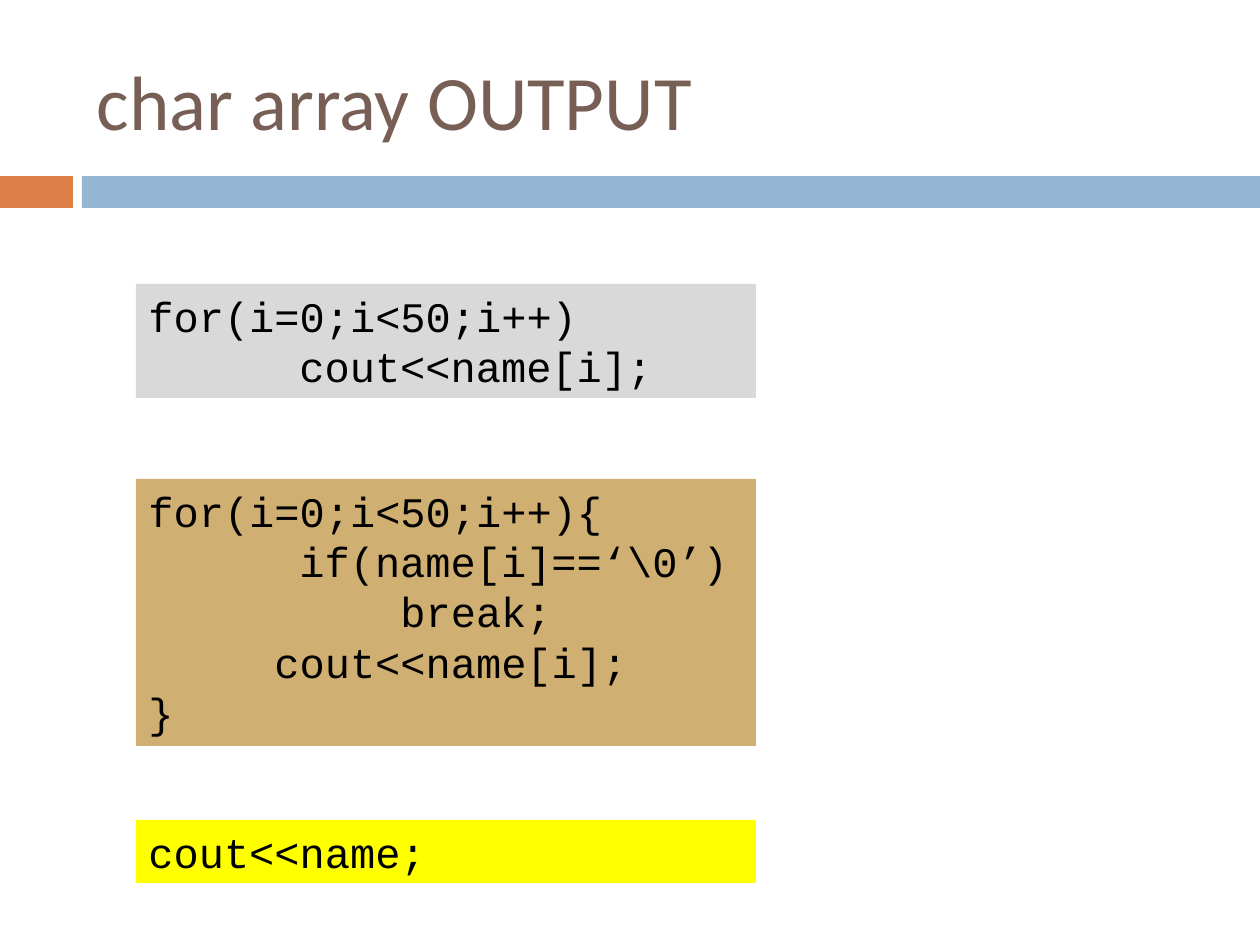
from pptx import Presentation
from pptx.dml.color import RGBColor as RGB
from pptx.enum.shapes import MSO_SHAPE as Shape
from pptx.enum.text import MSO_ANCHOR as Anchor, MSO_AUTO_SIZE as Fit, PP_ALIGN as Align
from pptx.util import Pt

SCALE = 914400 // 126
WIDE, HIGH = 1260, 945
ORANGE = RGB(0xDD, 0x80, 0x47)
BLUE = RGB(0x94, 0xB6, 0xD2)
BROWN = RGB(0x77, 0x5F, 0x55)
GREY = RGB(0xD9, 0xD9, 0xD9)
TAN = RGB(0xD0, 0xAF, 0x72)
YELLOW = RGB(0xFF, 0xFF, 0x00)
BLACK = RGB(0, 0, 0)
STEP = 126
DEEP = 151


def px(count):
    """Turn pixels into EMU."""
    return count * SCALE


def write(para, text, font, size, color):
    """Add one styled run to a paragraph."""
    run = para.add_run()
    run.text = text
    run.font.name = font
    run.font.size = Pt(size)
    run.font.color.rgb = color


def block(slide, box, fill):
    """Draw a plain filled rectangle."""
    rect = slide.shapes.add_shape(Shape.RECTANGLE, *map(px, box))
    rect.shadow.inherit = False
    rect.fill.solid()
    rect.fill.fore_color.rgb = fill
    rect.line.fill.background()
    return rect


def band(slide, box, split=73, gap=9):
    """Draw the two-part band across the box."""
    left, top, width, height = box
    start = split + gap
    block(slide, (left, top, split, height), ORANGE)
    block(slide, (left + start, top, width - start, height), BLUE)


def head(slide, box, text):
    """Place and style the slide title."""
    title = slide.shapes.title
    title.left, title.top, title.width, title.height = map(px, box)
    frame = title.text_frame
    frame.vertical_anchor = Anchor.MIDDLE
    frame.paragraphs[0].alignment = Align.LEFT
    write(frame.paragraphs[0], text, "Calibri", 44, BROWN)


def code(slide, box, fill, lines):
    """Place a panel of indented code lines."""
    frame = block(slide, box, fill).text_frame
    frame.word_wrap = True
    frame.auto_size = Fit.SHAPE_TO_FIT_TEXT
    frame.vertical_anchor = Anchor.TOP
    for row, (indent, text) in enumerate(lines):
        para = frame.add_paragraph() if row else frame.paragraphs[0]
        para.alignment = Align.LEFT
        para._p.get_or_add_pPr().set("marL", str(px(indent)))
        write(para, text, "Courier New", 24, BLACK)


PANELS = [
    (284, 114, GREY, [(0, "for(i=0;i<50;i++)"), (DEEP, "cout<<name[i];")]),
    (479, 267, TAN, [
        (0, "for(i=0;i<50;i++){"),
        (DEEP, "if(name[i]==‘\\0’)"),
        (2 * STEP, "break;"),
        (STEP, "cout<<name[i];"),
        (0, "}"),
    ]),
    (820, 63, YELLOW, [(0, "cout<<name;")]),
]

deck = Presentation()
deck.slide_width, deck.slide_height = px(WIDE), px(HIGH)
page = deck.slides.add_slide(deck.slide_layouts[5])
band(page, (0, 176, WIDE, 32))
head(page, (84, 32, 1124, 136), "char array OUTPUT")
for top, height, fill, lines in PANELS:
    code(page, (136, top, 620, height), fill, lines)
deck.save("out.pptx")
